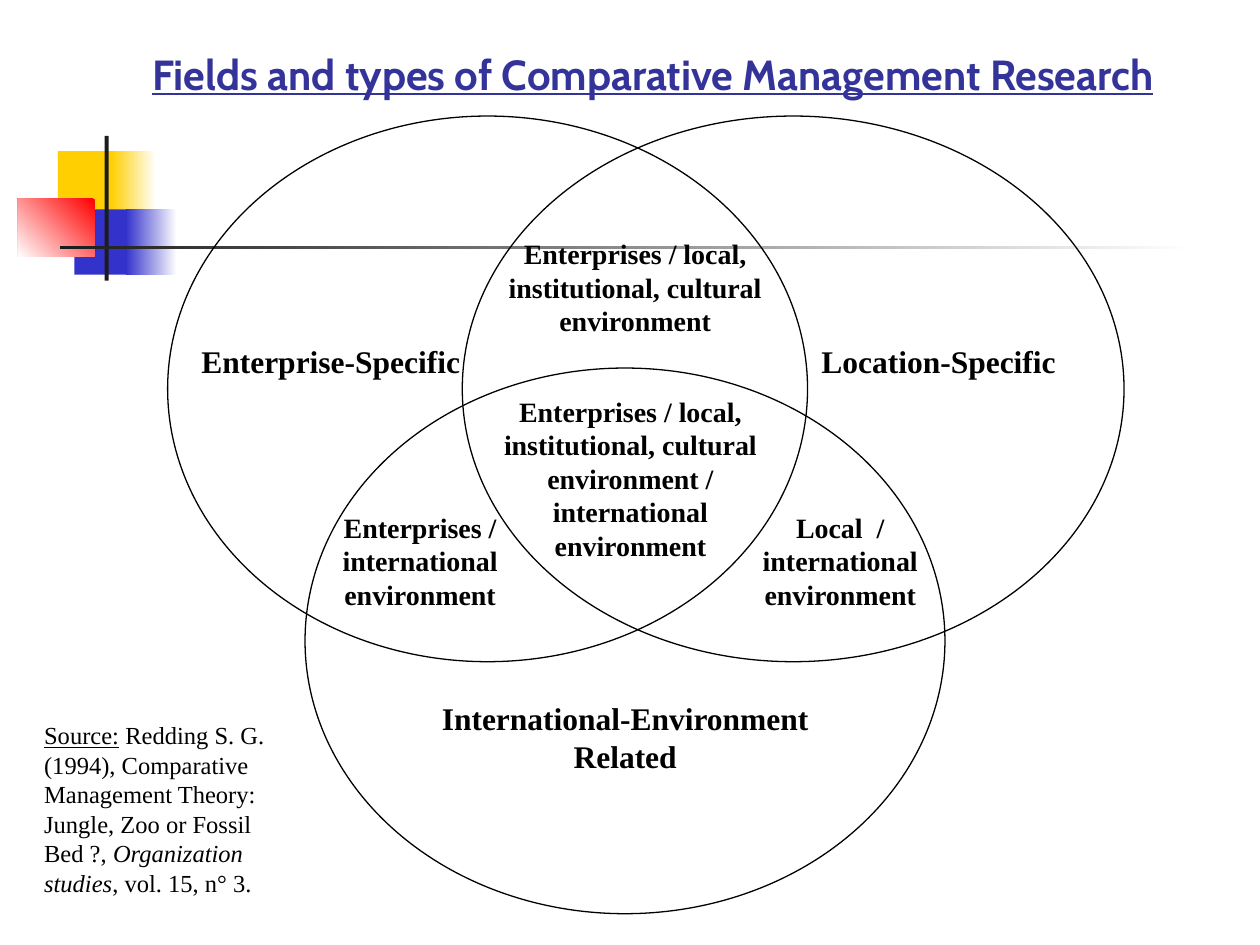
from pptx import Presentation
from pptx import util as u
from pptx.dml.color import RGBColor
from pptx.enum import shapes, text

INK = {"gold": "FFCF01", "blue": "3333CC", "red": "FF0000", "dark": "1C1C1C",
       "white": "FFFFFF", "black": "000000", "title": "333399"}
SERIF = "Times New Roman"
LEFT, MID, RIGHT = text.PP_ALIGN.LEFT, text.PP_ALIGN.CENTER, text.PP_ALIGN.RIGHT

DECOR = [
    ((1.17, 3.05, 1.22, 1.32), ["gold"], 0),
    ((2.24, 3.05, 0.91, 1.32), ["white", "gold"], 180),
    ((1.5, 4.22, 1.17, 1.32), ["blue"], 0),
    ((2.54, 4.22, 1.02, 1.32), ["white", "blue"], 180),
    ((0.36, 4.01, 1.55, 1.17), ["red", "white"], 225),
    ((2.11, 2.74, 0.08, 2.92), ["dark"], 0),
    ((1.22, 4.95, 22.86, 0.08), ["white", "dark"], 180),
]
TITLE = "Fields and types of Comparative Management Research"
RINGS = [(6.15, 7.42, 12.9), (9.32, 2.34, 13.34), (3.38, 2.34, 12.9)]
RING_H = 11
LABELS = [
    ("Enterprise-Specific", (3.81, 6.78, 6.15, 1.02), 18, LEFT),
    ("Location-Specific", (16.31, 6.78, 6.15, 1.02), 18, LEFT),
    ("International-Environment Related", (8.26, 13.97, 8.69, 1.78), 18, MID),
    ("Enterprises / local, institutional, cultural environment",
     (9.73, 4.65, 6.15, 2.29), 16, MID),
    ("Enterprises / local, institutional, cultural environment / "
     "international environment", (9.32, 7.82, 6.78, 3.66), 16, MID),
    ("Enterprises / international environment", (5.08, 10.16, 6.78, 2.29), 16, MID),
    ("Local  / international environment", (14.4, 10.16, 5.08, 2.29), 16, MID),
]
SOURCE = [
    ("Source:", {"underline": True}),
    (" Redding S. G. (1994), Comparative Management Theory: "
     "Jungle, Zoo or Fossil Bed ?, ", {}),
    ("Organization studies", {"italic": True}),
    (", vol. 15, n° 3.", {}),
]


def rgb(name):
    return RGBColor.from_string(INK[name])


def shape(kind, box):
    item = slide.shapes.add_shape(kind, *map(u.Cm, box))
    item.shadow.inherit = False
    return item


def block(runs, box, size, align, font=SERIF, ink="black"):
    frame = slide.shapes.add_textbox(*map(u.Cm, box)).text_frame
    frame.word_wrap = True
    para = frame.paragraphs[0]
    para.alignment = align
    for words, style in runs:
        run = para.add_run()
        run.text = words
        run.font.name, run.font.size = font, u.Pt(size)
        run.font.color.rgb = rgb(ink)
        for key, value in style.items():
            setattr(run.font, key, value)
    return frame


deck = Presentation()
deck.slide_width, deck.slide_height = u.Cm(25.4), u.Cm(19.05)
slide = deck.slides.add_slide(deck.slide_layouts[6])

for box, inks, angle in DECOR:
    item = shape(shapes.MSO_SHAPE.RECTANGLE, box)
    item.line.fill.background()
    if len(inks) == 1:
        item.fill.solid()
        item.fill.fore_color.rgb = rgb(inks[0])
    else:
        item.fill.gradient()
        item.fill.gradient_angle = angle
        for stop, ink, spot in zip(item.fill.gradient_stops, inks, (0, 1)):
            stop.color.rgb = rgb(ink)
            stop.position = spot

head = block([(TITLE, {"bold": True, "underline": True})],
             (1.9, 0, 21.6, 2.11), 24, RIGHT, "Cabin", "title")
head.vertical_anchor = text.MSO_ANCHOR.BOTTOM

for left, top, width in RINGS:
    ring = shape(shapes.MSO_SHAPE.OVAL, (left, top, width, RING_H))
    ring.fill.background()
    ring.line.color.rgb = rgb("black")
    ring.line.width = u.Pt(0.75)

for words, box, size, align in LABELS:
    block([(words, {"bold": True})], box, size, align)
block(SOURCE, (0.64, 14.4, 5.92, 3.81), 14, LEFT)

deck.save("out.pptx")
